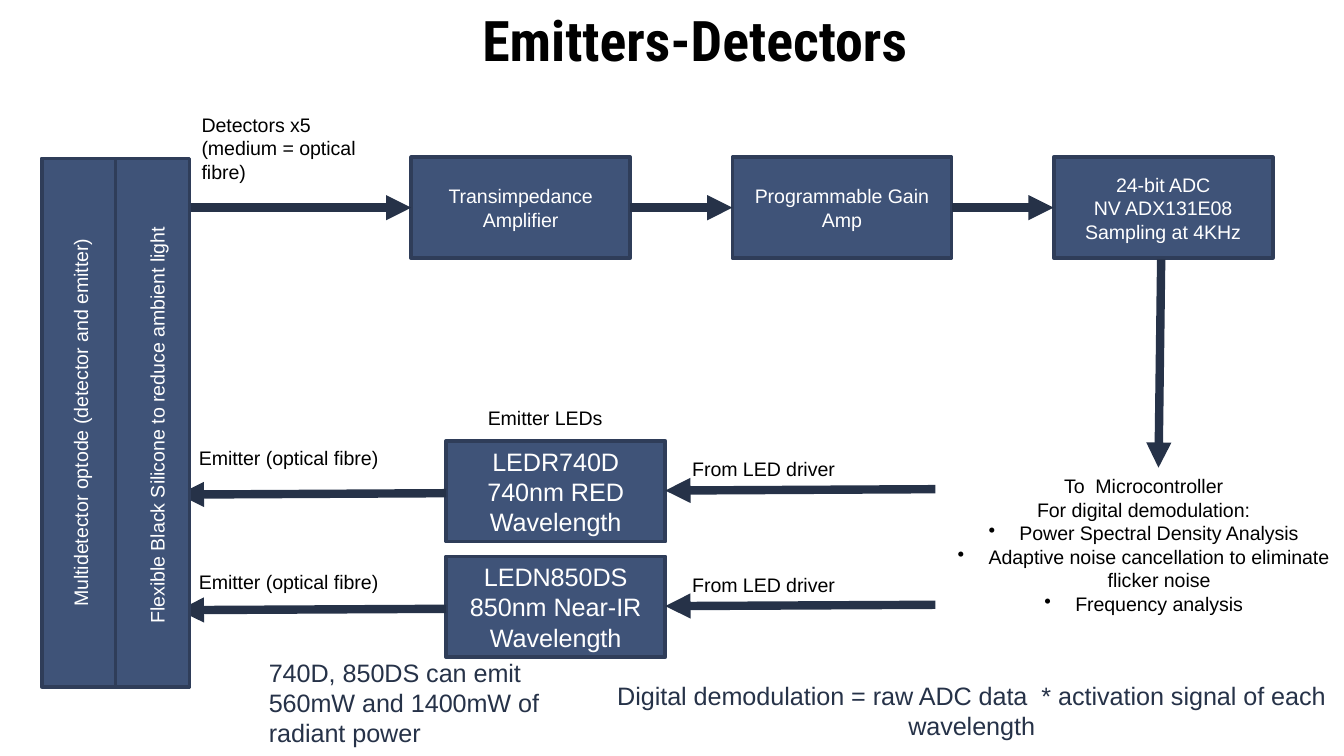
import dataclasses

import lxml.etree
import pptx
import pptx.dml.color
import pptx.enum.shapes
import pptx.enum.text
import pptx.oxml.ns
import pptx.util

COLUMNS, ROWS = 100, 56.25
SLIDE_WIDTH, SLIDE_HEIGHT = pptx.util.Inches(10), pptx.util.Inches(5.625)
LEFT = pptx.enum.text.PP_ALIGN.LEFT
CENTER = pptx.enum.text.PP_ALIGN.CENTER


@dataclasses.dataclass(frozen=True)
class Theme:
    fill: str = "3F5378"
    border: str = "2F3D59"
    accent: str = "263248"
    black: str = "000000"
    white: str = "FFFFFF"
    title_font: str = "Roboto Condensed"
    body_font: str = "Arial"
    title_size: float = 30
    large_size: float = 13.5
    small_size: float = 10.5
    border_width: float = 2
    arrow_width: float = 4.5


@dataclasses.dataclass(frozen=True)
class Box:
    left: float
    top: float
    width: float
    height: float

    def inside(self, left, top, width, height):
        return Box(self.left + left, self.top + top, width, height)

    def point(self, column, row):
        return self.left + column, self.top + row

    def lengths(self):
        return across(self.left), down(self.top), across(self.width), down(self.height)


THEME = Theme()


def across(columns):
    return round(SLIDE_WIDTH * columns / COLUMNS)


def down(rows):
    return round(SLIDE_HEIGHT * rows / ROWS)


def color(value):
    return pptx.dml.color.RGBColor.from_string(value)


def add_bullet(paragraph):
    properties = paragraph._p.get_or_add_pPr()
    indent = across(2.3)
    properties.set("marL", str(indent))
    properties.set("indent", str(-indent))
    bullet = lxml.etree.SubElement(properties, pptx.oxml.ns.qn("a:buChar"))
    bullet.set("char", "•")


def write(shape, lines, size, text_color, align=LEFT, middle=False,
          font=THEME.body_font, bold=False, bullets_from=None):
    frame = shape.text_frame
    frame.word_wrap = True
    frame.margin_left = frame.margin_right = across(0.7)
    frame.margin_top = frame.margin_bottom = down(0.4)
    anchors = pptx.enum.text.MSO_ANCHOR
    frame.vertical_anchor = anchors.MIDDLE if middle else anchors.TOP
    for index, line in enumerate(lines):
        paragraph = frame.paragraphs[0] if index == 0 else frame.add_paragraph()
        paragraph.text = line
        paragraph.alignment = align
        if bullets_from is not None and index >= bullets_from:
            add_bullet(paragraph)
        paragraph.font.name = font
        paragraph.font.size = pptx.util.Pt(size)
        paragraph.font.bold = bold
        paragraph.font.color.rgb = color(text_color)


def add_label(slide, box, lines, size=THEME.small_size, text_color=THEME.black,
              rotation=0, **options):
    label = slide.shapes.add_textbox(*box.lengths())
    label.rotation = rotation
    write(label, lines, size, text_color, **options)


def add_block(slide, box, lines=(), size=THEME.small_size):
    block = slide.shapes.add_shape(
        pptx.enum.shapes.MSO_SHAPE.RECTANGLE, *box.lengths())
    block.shadow.inherit = False
    block.fill.solid()
    block.fill.fore_color.rgb = color(THEME.fill)
    block.line.color.rgb = color(THEME.border)
    block.line.width = pptx.util.Pt(THEME.border_width)
    write(block, lines, size, THEME.white, align=CENTER, middle=True)


def add_arrow(slide, start, end):
    arrow = slide.shapes.add_connector(
        pptx.enum.shapes.MSO_CONNECTOR.STRAIGHT,
        across(start[0]), down(start[1]), across(end[0]), down(end[1]))
    arrow.line.color.rgb = color(THEME.accent)
    arrow.line.width = pptx.util.Pt(THEME.arrow_width)
    head = lxml.etree.SubElement(arrow.line._get_or_add_ln(), pptx.oxml.ns.qn("a:tailEnd"))
    head.set("type", "triangle")
    lxml.etree.SubElement(arrow._element.spPr, pptx.oxml.ns.qn("a:effectLst"))


def place_title(slide, box):
    title = slide.shapes.title
    title.left, title.top, title.width, title.height = box.lengths()
    write(title, ["Emitters-Detectors"], THEME.title_size, THEME.black,
          align=CENTER, font=THEME.title_font, bold=True)


def place_detector_chain(slide, box):
    stages = [
        ["Transimpedance Amplifier"],
        ["Programmable Gain Amp"],
        ["24-bit ADC", "NV ADX131E08", "Sampling at 4KHz"],
    ]
    first, pitch, width, top, height = 17.3, 23.9, 16.3, 3.7, 7.5
    middle = top + height / 2
    add_label(slide, box.inside(1, 0, 15, 6.1),
              ["Detectors x5", "(medium = optical fibre)"])
    for index, lines in enumerate(stages):
        left = first + index * pitch
        add_block(slide, box.inside(left, top, width, height), lines)
        start = left - pitch + width if index else 0
        add_arrow(slide, box.point(start, middle), box.point(left, middle))


def place_microcontroller(slide, box):
    add_arrow(slide, box.point(16.2, 0), box.point(16, 15.5))
    add_label(slide, box.inside(0, 15.6, box.width, 11.4), [
        "To  Microcontroller",
        "For digital demodulation:",
        "Power Spectral Density Analysis",
        "Adaptive noise cancellation to eliminate flicker noise",
        "Frequency analysis",
    ], align=CENTER, bullets_from=2)


def place_emitter(slide, box, lines, fibre_label_top):
    add_block(slide, box.inside(19.9, 0, 16.3, 7.5), lines, THEME.large_size)
    add_arrow(slide, box.point(19.9, 3.9), box.point(0, 4))
    add_arrow(slide, box.point(56.3, 3.6), box.point(36.2, 3.7))
    add_label(slide, box.inside(0.8, fibre_label_top, 18, 2.5), ["Emitter (optical fibre)"])
    add_label(slide, box.inside(37.5, 0.8, 14.2, 2.5), ["From LED driver"])


def place_emitters(slide, box):
    add_label(slide, box.inside(22.3, 0, 27.3, 2.5), ["Emitter LEDs"])
    place_emitter(slide, box.inside(0, 3, box.width, 7.5),
                  ["LEDR740D", "740nm RED Wavelength"], 0)
    place_emitter(slide, box.inside(0, 11.6, box.width, 7.5),
                  ["LEDN850DS", "850nm Near-IR Wavelength"], 0.6)


def place_notes(slide, box):
    add_label(slide, box.inside(0, 0, 22.5, 7.6),
              ["740D, 850DS can emit 560mW and 1400mW of radiant power"],
              THEME.large_size, THEME.accent)
    add_label(slide, box.inside(21.6, 1.7, 62.8, 5.3),
              ["Digital demodulation = raw ADC data  * activation signal of each wavelength"],
              THEME.large_size, THEME.accent, align=CENTER)


def place_optode(slide, box):
    layers = [
        ("Multidetector optode (detector and emitter)", 2.85, 2.5, 19.65),
        ("Flexible Black Silicone to reduce ambient light", 9.45, 4.3, 19.85),
    ]
    width, length = box.width / len(layers), 37.7
    for index, (text, center, thickness, middle) in enumerate(layers):
        add_block(slide, box.inside(index * width, 0, width, box.height))
        add_label(slide, box.inside(center - length / 2, middle - thickness / 2,
                                    length, thickness),
                  [text], text_color=THEME.white, rotation=270, align=CENTER)


def main():
    presentation = pptx.Presentation()
    presentation.slide_width = SLIDE_WIDTH
    presentation.slide_height = SLIDE_HEIGHT
    slide = presentation.slides.add_slide(presentation.slide_layouts[5])
    place_title(slide, Box(23.7, 0, 56, 5.8))
    place_detector_chain(slide, Box(13.3, 8, 81.4, 11.2))
    place_microcontroller(slide, Box(70.2, 19.3, 29.8, 27))
    place_emitters(slide, Box(13.3, 29.8, 56.3, 19.1))
    place_notes(slide, Box(19.3, 48.5, 84.4, 7.6))
    place_optode(slide, Box(3.1, 11.8, 11, 39.3))
    presentation.save("out.pptx")


if __name__ == "__main__":
    main()
